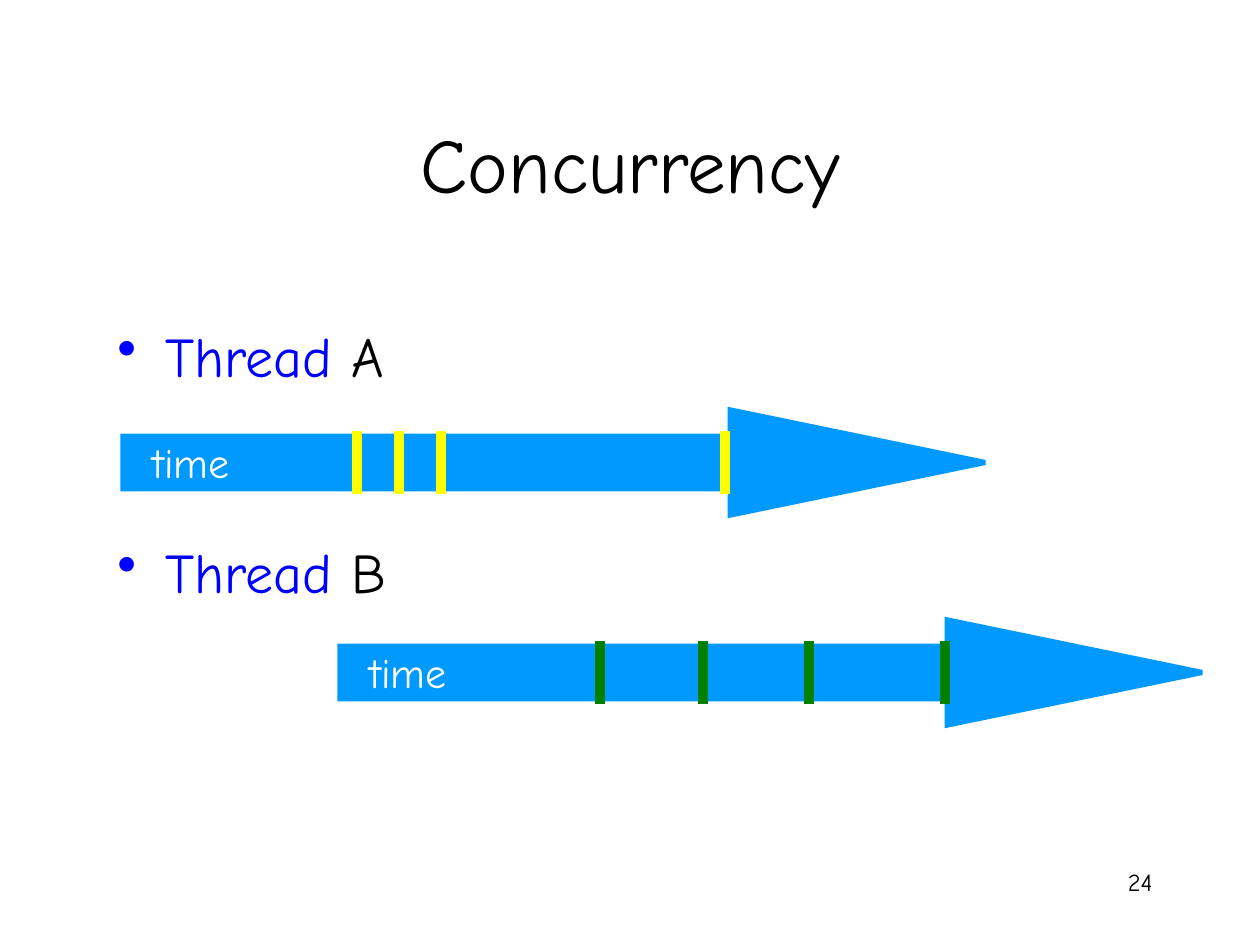
from lxml import etree
from pptx import Presentation
from pptx import util as u
from pptx.dml.color import RGBColor
from pptx.enum import shapes, text
from pptx.oxml.ns import qn

PX = 914400 / 126
FONT = "Comic Neue"
BLACK, BLUE, SKY, WHITE = "000000", "0000FF", "0099FF", "FFFFFF"

TITLE = "Concurrency"
PAGE_NUMBER = "24"
THREADS = [
    dict(name="A", heading_top=315, arrow=(123, 410), color="FFFF00",
         ticks=[357, 399, 441, 725]),
    dict(name="B", heading_top=531, arrow=(340, 620), color="008000",
         ticks=[600, 703, 809, 945]),
]
ARROW_SIZE = 862, 105
TICK_INSET, TICK_HEIGHT = 21, 63


def px(*lengths):
    return [u.Emu(round(length * PX)) for length in lengths]


def rgb(color):
    return RGBColor.from_string(color)


def add_text(slide, box, runs, size, align=text.PP_ALIGN.LEFT,
             anchor=text.MSO_ANCHOR.TOP, bullet=False):
    """Add one paragraph made of (words, colour) runs."""
    frame = slide.shapes.add_textbox(*px(*box)).text_frame
    frame.word_wrap = True
    frame.vertical_anchor = anchor
    paragraph = frame.paragraphs[0]
    if bullet:
        properties = paragraph._p.get_or_add_pPr()
        properties.set("marL", str(u.Inches(0.38)))
        properties.set("indent", str(u.Inches(-0.38)))
        etree.SubElement(properties, qn("a:buChar")).set("char", "•")
    paragraph.alignment = align
    for words, color in runs:
        run = paragraph.add_run()
        run.text = words
        run.font.name = FONT
        run.font.size = u.Pt(size)
        run.font.color.rgb = rgb(color)


def add_time_arrow(slide, left, top):
    arrow = slide.shapes.add_shape(shapes.MSO_SHAPE.RIGHT_ARROW,
                                   *px(left, top, *ARROW_SIZE))
    arrow.shadow.inherit = False
    arrow.adjustments[0] = 0.5
    arrow.adjustments[1] = 2.425
    arrow.fill.solid()
    arrow.fill.fore_color.rgb = rgb(SKY)
    arrow.line.color.rgb = rgb(SKY)
    arrow.line.width = u.Pt(3)
    etree.SubElement(arrow.line._get_or_add_ln(), qn("a:miter")).set("lim", "800000")
    add_text(slide, (left + 7, top + 20, 112, 63), [("time", WHITE)], 24,
             text.PP_ALIGN.RIGHT)


def add_tick(slide, x, top, color):
    tick = slide.shapes.add_connector(shapes.MSO_CONNECTOR.STRAIGHT,
                                      *px(x, top, x, top + TICK_HEIGHT))
    tick.line.color.rgb = rgb(color)
    tick.line.width = u.Pt(6)
    etree.SubElement(tick._element.spPr, qn("a:effectLst"))


def main():
    deck = Presentation()
    deck.slide_width, deck.slide_height = px(1260, 945)
    slide = deck.slides.add_slide(deck.slide_layouts[6])
    add_text(slide, (903, 861, 262, 63), [(PAGE_NUMBER, BLACK)], 14,
             text.PP_ALIGN.RIGHT)
    add_text(slide, (95, 84, 1071, 158), [(TITLE, BLACK)], 44,
             text.PP_ALIGN.CENTER, text.MSO_ANCHOR.MIDDLE)
    for thread in THREADS:
        left, top = thread["arrow"]
        add_time_arrow(slide, left, top)
        add_text(slide, (105, thread["heading_top"], 1071, 76),
                 [("Thread ", BLUE), (thread["name"], BLACK)], 32, bullet=True)
        for x in thread["ticks"]:
            add_tick(slide, x, top + TICK_INSET, thread["color"])
    deck.save("out.pptx")


if __name__ == "__main__":
    main()
